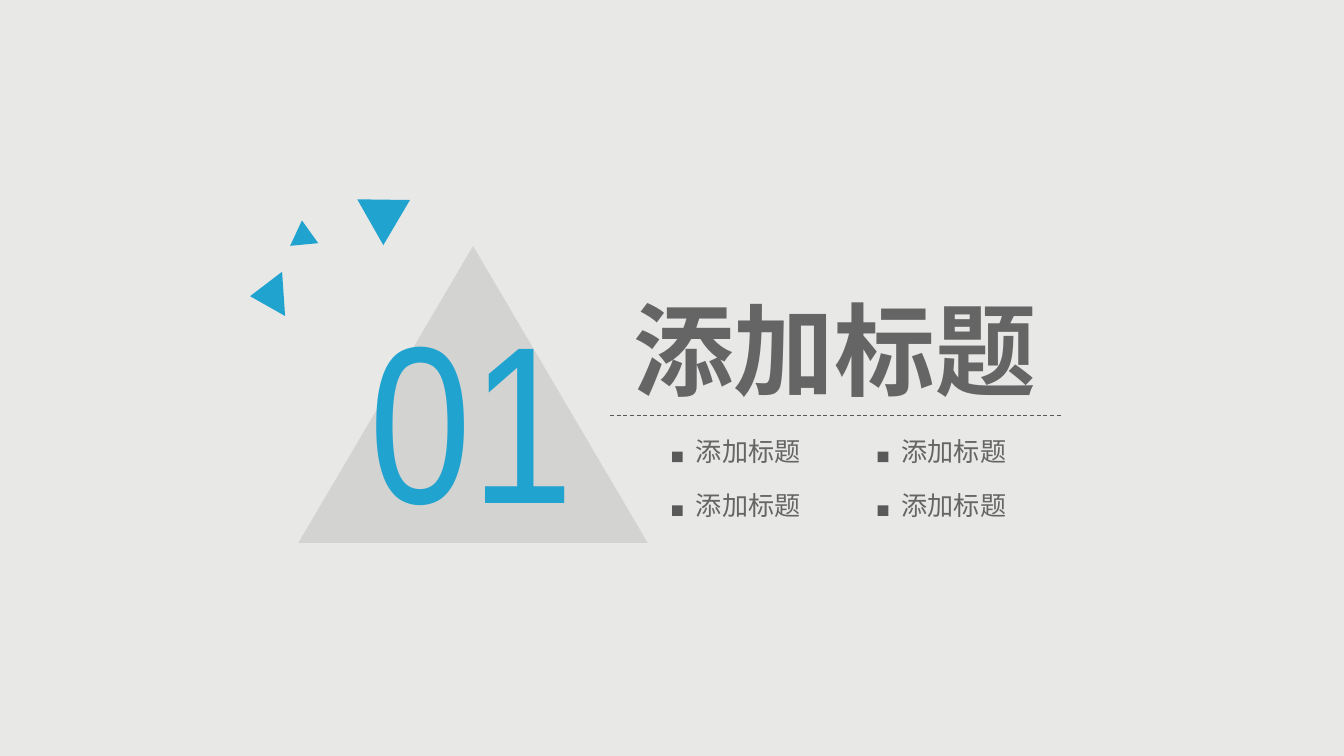
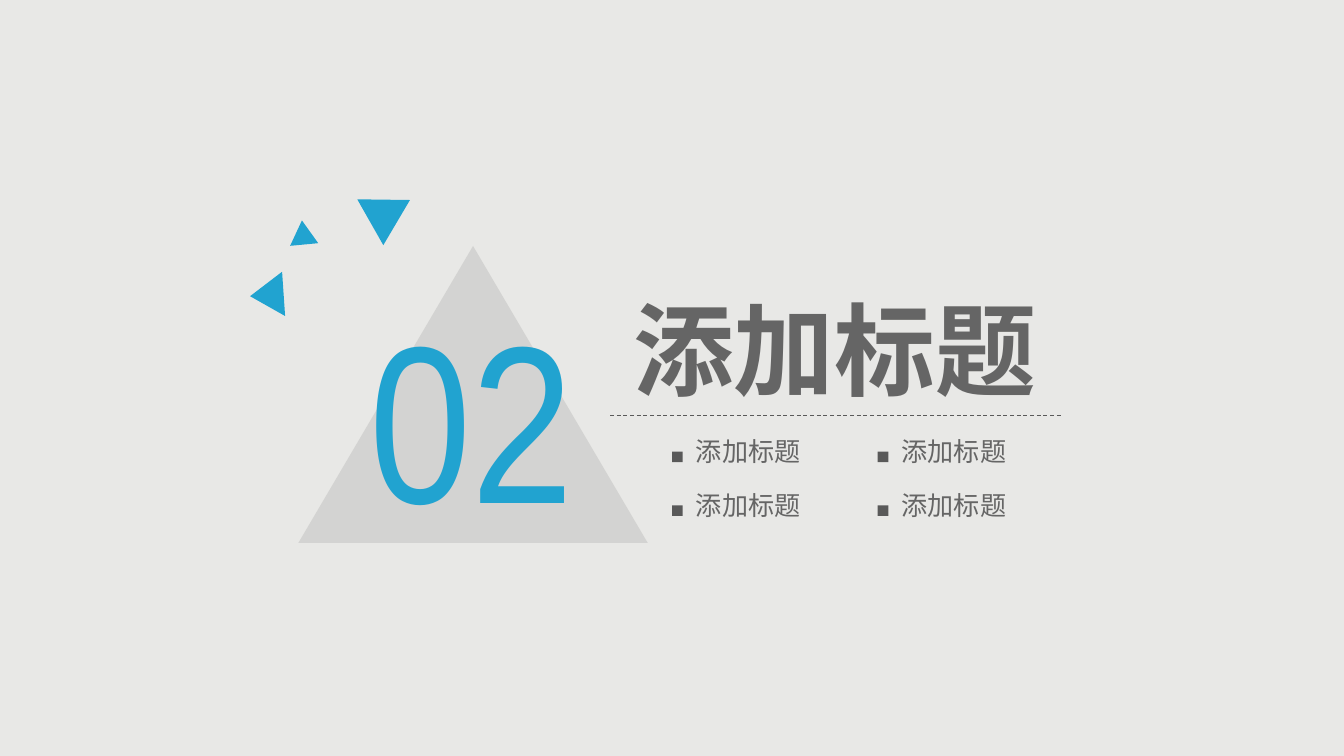
from lxml import etree
from pptx import Presentation
from pptx.dml.color import RGBColor
from pptx.enum.dml import MSO_LINE
from pptx.enum.shapes import MSO_CONNECTOR, MSO_SHAPE
from pptx.enum.text import MSO_ANCHOR, MSO_AUTO_SIZE, PP_ALIGN
from pptx.oxml.ns import qn
from pptx.util import Inches, Pt

SECTIONS = [
    {"num": "01", "wide": 1.75, "title": "添加标题",
     "items": ["添加标题", "添加标题", "添加标题", "添加标题"]},
    {"num": "02", "wide": 1.95, "title": "添加标题",
     "items": ["添加标题", "添加标题", "添加标题", "添加标题"]},
]
CHIPS = [
    (2.61, 1.4, 0.39, 0.34, 300.6),
    (2.15, 1.64, 0.21, 0.18, 354.7),
    (1.82, 2.07, 0.33, 0.25, 266.1),
]
WIDE = 10
HIGH = WIDE * 9 / 16
BACK, GRAY, BLUE = "E8E8E6", "595959", "21A3D0"
LATIN, HAN = "Arial Narrow", "Noto Sans CJK SC"
COLS, LEFT, TOP = 2, 5, 3.19
STEP_X, STEP_Y = 1.53, 0.4
DOT, DROP = 0.08, 0.17
TRI, RECT = MSO_SHAPE.ISOSCELES_TRIANGLE, MSO_SHAPE.RECTANGLE
DASH, LINE = MSO_LINE.DASH, MSO_CONNECTOR.STRAIGHT
FIT, UPPER, START = MSO_AUTO_SIZE.SHAPE_TO_FIT_TEXT, MSO_ANCHOR.TOP, PP_ALIGN.LEFT


def paint(fill, tint, alpha=100):
    fill.solid()
    fill.fore_color.rgb = RGBColor.from_string(tint)
    if alpha < 100:
        node = fill._xPr.find(".//" + qn("a:srgbClr"))
        etree.SubElement(node, qn("a:alpha")).set("val", str(alpha * 1000))


def place(shape, box):
    shape.left, shape.top, shape.width, shape.height = map(Inches, box)


def add_form(shapes, kind, box, tint, alpha=100, turn=0):
    shape = shapes.add_shape(kind, *map(Inches, box))
    shape.shadow.inherit = False
    shape.line.fill.background()
    paint(shape.fill, tint, alpha)
    shape.rotation = turn


def write(shape, box, text, size, face, tint, alpha=100, bold=False):
    frame = shape.text_frame
    frame.text = text
    frame.word_wrap = False
    frame.auto_size = FIT
    frame.vertical_anchor = UPPER
    para = frame.paragraphs[0]
    para.alignment = START
    font = para.runs[0].font
    font.size, font.bold, font.name = Pt(size), bold, face
    paint(font.fill, tint, alpha)
    etree.SubElement(font._rPr, qn("a:ea")).set("typeface", face)
    place(shape, box)


def add_text(shapes, box, *style):
    write(shapes.add_textbox(*map(Inches, box)), box, *style)


def add_rule(shapes):
    rule = shapes.add_connector(LINE, *map(Inches, (4.54, 3.09, 7.91, 3.09)))
    paint(rule.line.fill, GRAY)
    rule.line.width = Pt(0.5)
    rule.line.dash_style = DASH
    etree.SubElement(rule._element.spPr, qn("a:effectLst"))


def add_item(shapes, spot, text):
    row, col = divmod(spot, COLS)
    x, y = LEFT + col * STEP_X, TOP + row * STEP_Y
    group = shapes.add_group_shape().shapes
    add_form(group, RECT, (x, y + DROP, DOT, DOT), GRAY)
    add_text(group, (x + DOT, y, 0.99, 0.34), text, 14, HAN, GRAY, 91)


def build(deck, part):
    shapes = deck.slides.add_slide(deck.slide_layouts[5]).shapes
    add_form(shapes, TRI, (2.22, 1.83, 2.6, 2.21), GRAY, 14)
    add_text(shapes, (2.65, 2.03, part["wide"], 2.12), part["num"], 120, LATIN, BLUE)
    write(shapes.title, (4.61, 2.09, 3.23, 1.01), part["title"], 54, HAN, GRAY, 91, True)
    add_rule(shapes)
    for spot, text in enumerate(part["items"]):
        add_item(shapes, spot, text)
    for *box, turn in CHIPS:
        add_form(shapes, TRI, box, BLUE, turn=turn)


def main():
    deck = Presentation()
    deck.slide_width, deck.slide_height = Inches(WIDE), Inches(HIGH)
    paint(deck.slide_master.background.fill, BACK)
    for part in SECTIONS:
        build(deck, part)
    deck.save("out.pptx")


if __name__ == "__main__":
    main()
